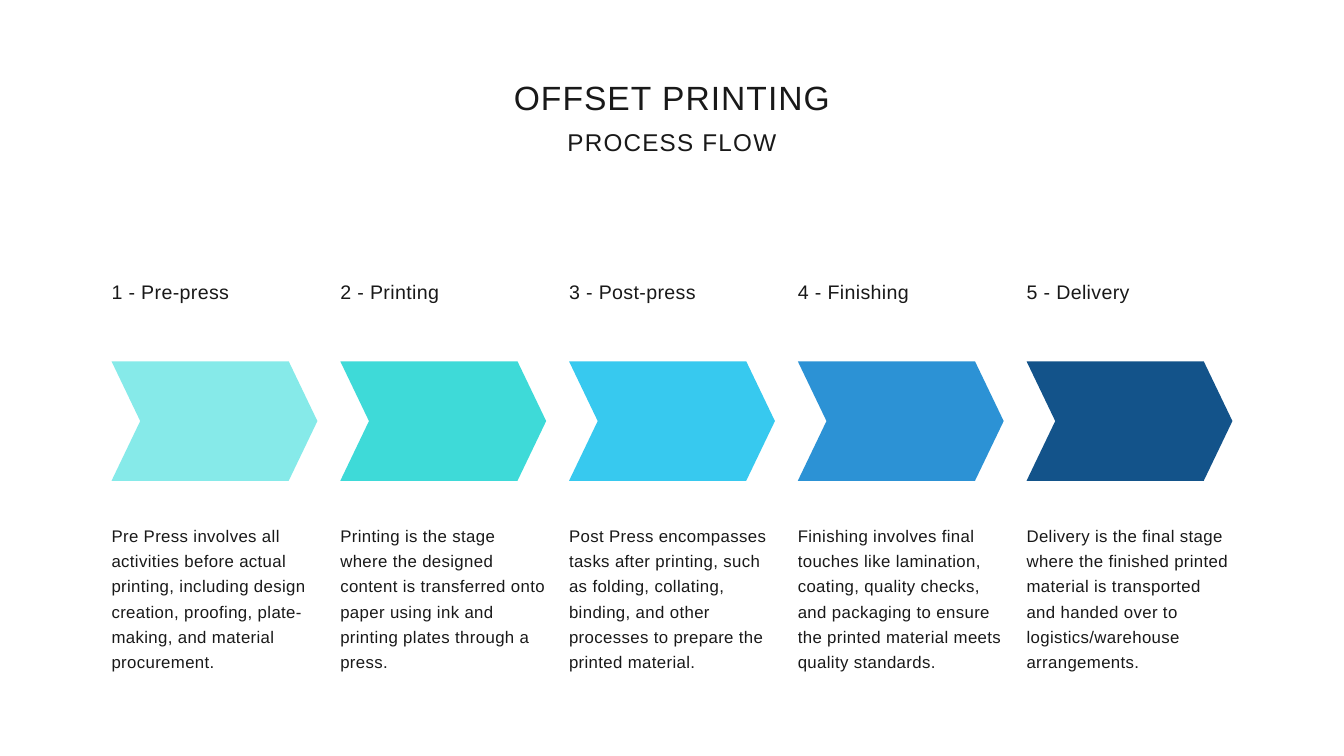
import dataclasses

import pptx
import pptx.dml.color
import pptx.enum.shapes
import pptx.enum.text
import pptx.util

ALIGN = pptx.enum.text.PP_ALIGN


@dataclasses.dataclass(frozen=True)
class TextStyle:
    size: float
    leading: float
    tracking: float
    align: object = ALIGN.LEFT


@dataclasses.dataclass(frozen=True)
class Theme:
    font: str = "Arial"
    ink: str = "191919"
    paper: str = "FFFFFF"
    arrows: tuple = ("86EAE9", "3EDAD8", "37C9EF", "2C92D5", "13538A")
    title: TextStyle = TextStyle(36, 47.2, 1.1, ALIGN.CENTER)
    subtitle: TextStyle = TextStyle(26, 36.4, 1.3, ALIGN.CENTER)
    stage: TextStyle = TextStyle(21, 31.5, 0.4)
    detail: TextStyle = TextStyle(18, 27, 0.4)


@dataclasses.dataclass(frozen=True)
class Box:
    left: float
    top: float
    width: float
    height: float

    def share(self, x, y, width, height):
        return Box(self.left + x * self.width, self.top + y * self.height,
                   width * self.width, height * self.height)

    def emu(self):
        return [pptx.util.Inches(v) for v in dataclasses.astuple(self)]


THEME = Theme()
SLIDE = Box(0, 0, 20, 11.25)
ARROW_NOTCH = 0.24
COLUMNS_PER_STAGE = 9
STAGES = (
    ("1 - Pre-press",
     "Pre Press involves all activities before actual printing, including "
     "design creation, proofing, plate-making, and material procurement."),
    ("2 - Printing",
     "Printing is the stage where the designed content is transferred onto "
     "paper using ink and printing plates through a press."),
    ("3 - Post-press",
     "Post Press encompasses tasks after printing, such as folding, "
     "collating, binding, and other processes to prepare the printed "
     "material."),
    ("4 - Finishing",
     "Finishing involves final touches like lamination, coating, quality "
     "checks, and packaging to ensure the printed material meets quality "
     "standards."),
    ("5 - Delivery",
     "Delivery is the final stage where the finished printed material is "
     "transported and handed over to logistics/warehouse arrangements."),
)


def rgb(value):
    return pptx.dml.color.RGBColor.from_string(value)


def write(holder, text, style):
    frame = holder.text_frame
    frame.text = text
    frame.word_wrap = True
    frame.auto_size = pptx.enum.text.MSO_AUTO_SIZE.SHAPE_TO_FIT_TEXT
    frame.vertical_anchor = pptx.enum.text.MSO_ANCHOR.TOP
    frame.margin_left = frame.margin_right = 0
    frame.margin_top = frame.margin_bottom = 0
    paragraph = frame.paragraphs[0]
    paragraph.alignment = style.align
    paragraph.line_spacing = pptx.util.Pt(style.leading)
    paragraph.space_before = pptx.util.Pt(0)
    run = paragraph.runs[0]
    run.font.name = THEME.font
    run.font.size = pptx.util.Pt(style.size)
    run.font.color.rgb = rgb(THEME.ink)
    run.font._element.set("spc", str(round(style.tracking * 100)))


def add_text(slide, box, text, style):
    write(slide.shapes.add_textbox(*box.emu()), text, style)


def add_heading(slide, box):
    title = slide.shapes.title
    title.left, title.top, title.width, title.height = box.share(0, 0, 1, 0.53).emu()
    write(title, "OFFSET PRINTING", THEME.title)
    add_text(slide, box.share(0.02, 0.61, 0.96, 0.39), "PROCESS FLOW", THEME.subtitle)


def add_stage(slide, box, name, detail, color):
    arrow = slide.shapes.add_shape(pptx.enum.shapes.MSO_SHAPE.CHEVRON,
                                   *box.share(0, 0.22, 1, 0.3).emu())
    arrow.adjustments[0] = ARROW_NOTCH
    arrow.shadow.inherit = False
    arrow.fill.solid()
    arrow.fill.fore_color.rgb = rgb(color)
    arrow.line.fill.background()
    add_text(slide, box.share(0, 0, 1, 0.07), name, THEME.stage)
    add_text(slide, box.share(0, 0.62, 1, 0.38), detail, THEME.detail)


def add_process(slide, box):
    pitch = COLUMNS_PER_STAGE + 1
    column = 1 / (len(STAGES) * pitch - 1)
    for index, ((name, detail), color) in enumerate(zip(STAGES, THEME.arrows)):
        stage_box = box.share(index * pitch * column, 0, COLUMNS_PER_STAGE * column, 1)
        add_stage(slide, stage_box, name, detail, color)


def main():
    deck = pptx.Presentation()
    deck.slide_width = pptx.util.Inches(SLIDE.width)
    deck.slide_height = pptx.util.Inches(SLIDE.height)
    slide = deck.slides.add_slide(deck.slide_layouts.get_by_name("Title Only"))
    slide.background.fill.solid()
    slide.background.fill.fore_color.rgb = rgb(THEME.paper)
    add_heading(slide, SLIDE.share(0.185, 0.097, 0.63, 0.106))
    add_process(slide, SLIDE.share(0.083, 0.362, 0.834, 0.527))
    deck.save("out.pptx")


if __name__ == "__main__":
    main()
